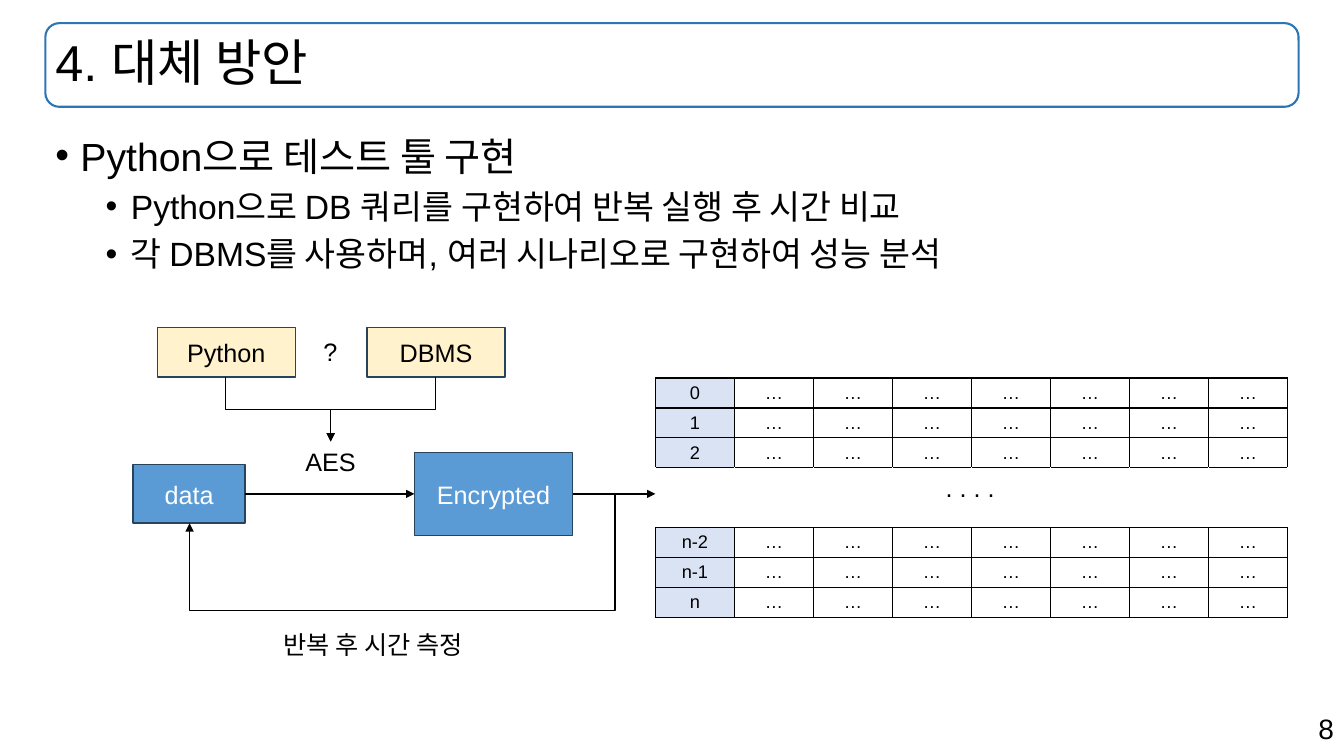
from lxml import etree
from pptx import Presentation
from pptx import util as u
from pptx.dml.color import RGBColor
from pptx.enum import shapes, text
from pptx.oxml.ns import qn

BLACK, WHITE, BLUE, CREAM, NAVY = "000000", "FFFFFF", "5B9BD5", "FFF2CC", "28445D"
LEFT, CENTER, RIGHT = text.PP_ALIGN.LEFT, text.PP_ALIGN.CENTER, text.PP_ALIGN.RIGHT
UNIT = u.Inches(0.1)  # one column or row of the slide grid


def paint(fill, colour):
    fill.solid()
    fill.fore_color.rgb = RGBColor.from_string(colour)


def write(paragraph, words, size, colour=BLACK, align=LEFT):
    paragraph.alignment = align
    run = paragraph.add_run()
    run.text = words
    run.font.size = u.Pt(size)
    run.font.name = "Arial"
    paint(run.font.fill, colour)


prs = Presentation()
prs.slide_width, prs.slide_height = u.Inches(13.33), u.Inches(7.5)
slide = prs.slides.add_slide(prs.slide_layouts[6])
canvas = slide.shapes

# Title frame and title
heading = [round(n * UNIT) for n in (4.5, 2.3, 124.3, 8.3)]
frame = canvas.add_shape(shapes.MSO_SHAPE.ROUNDED_RECTANGLE, *heading)
frame.shadow.inherit = False
frame.fill.background()
paint(frame.line.fill, "2E75B6")
frame.line.width = u.Pt(1.5)
title = canvas.add_textbox(*heading).text_frame
title.word_wrap = True
title.vertical_anchor = text.MSO_ANCHOR.MIDDLE
title.paragraphs[0].line_spacing = 0.9
write(title.paragraphs[0], "4. 대체 방안", 36)

# Bullets
body = canvas.add_textbox(*[round(n * UNIT) for n in (4.5, 12.6, 124.3, 55.3)]).text_frame
body.word_wrap = True
points = [
    (0, "Python으로 테스트 툴 구현", 28),
    (1, "Python으로 DB 쿼리를 구현하여 반복 실행 후 시간 비교", 24),
    (1, "각 DBMS를 사용하며, 여러 시나리오로 구현하여 성능 분석", 24),
]
for i, (level, words, size) in enumerate(points):
    point = body.add_paragraph() if i else body.paragraphs[0]
    point.level = level
    props = point._p.get_or_add_pPr()
    props.set("marL", str(u.Inches(0.25 + 0.5 * level)))
    props.set("indent", str(-u.Inches(0.25)))
    etree.SubElement(props, qn("a:buFont"), typeface="Arial")
    etree.SubElement(props, qn("a:buChar"), char="•")
    if i:
        point.space_before = u.Pt(5)
    write(point, words, size)

# Flow boxes
boxes = {}
for name, area, fill, colour in [
    ("data", (13.2, 46.1, 11.1, 5.8), BLUE, WHITE),
    ("Encrypted", (41.1, 44.9, 15.7, 8.2), BLUE, WHITE),
    ("Python", (15.6, 32.5, 13.7, 4.9), CREAM, BLACK),
    ("DBMS", (36.4, 32.5, 13.7, 4.9), CREAM, BLACK),
]:
    box = canvas.add_shape(shapes.MSO_SHAPE.RECTANGLE, *[round(n * UNIT) for n in area])
    box.shadow.inherit = False
    paint(box.fill, fill)
    paint(box.line.fill, NAVY)
    box.line.width = u.Pt(1)
    box.text_frame.vertical_anchor = text.MSO_ANCHOR.MIDDLE
    write(box.text_frame.paragraphs[0], name, 18, colour, CENTER)
    boxes[name] = box

# Record table: three first rows, a two-row gap, three last rows
indexes = ["0", "1", "2", None, None, "n-2", "n-1", "n"]
records = canvas.add_table(
    len(indexes), 8, *[round(n * UNIT) for n in (65, 37.5, 62.7, 23)]
).table
records.first_row = records.horz_banding = False
for r, index in enumerate(indexes):
    for c in range(8):
        cell = records.cell(r, c)
        cell.margin_left = cell.margin_right = u.Inches(0.07)
        cell.margin_top = cell.margin_bottom = u.Inches(0.04)
        cell.vertical_anchor = text.MSO_ANCHOR.MIDDLE
        gap = index is None
        edges = {
            "lnL": WHITE if gap else BLACK,
            "lnR": WHITE if gap else BLACK,
            "lnT": WHITE if gap and indexes[r - 1] is None else BLACK,
            "lnB": WHITE if gap and indexes[r + 1] is None else BLACK,
        }
        for edge, colour in edges.items():
            border = etree.SubElement(cell._tc.get_or_add_tcPr(), qn("a:" + edge), w=str(u.Pt(1)))
            solid = etree.SubElement(border, qn("a:solidFill"))
            etree.SubElement(solid, qn("a:srgbClr"), val=colour)
        line = cell.text_frame.paragraphs[0]
        if gap:
            cell.fill.background()
            etree.SubElement(line._p, qn("a:endParaRPr"), sz="1300")
        else:
            paint(cell.fill, WHITE if c else "DAE3F3")
            write(line, "…" if c else index, 13, BLACK, CENTER)

# Labels
for words, area, size, align in [
    (". . . .", (92.8, 46.4, 6.9, 4), 18, LEFT),
    ("AES", (29.3, 43.8, 7.1, 4), 18, LEFT),
    ("반복 후 시간 측정", (27.1, 61.9, 21.8, 4), 18, LEFT),
    ("?", (31.1, 32.9, 3.4, 4), 18, LEFT),
    ("8", (94.3, 70.1, 39, 4.4), 20, RIGHT),
]:
    label = canvas.add_textbox(*[round(n * UNIT) for n in area]).text_frame
    label.word_wrap = align == RIGHT
    write(label.paragraphs[0], words, size, BLACK, align)

# Arrows: unrotated ends, quarter turns, preset and bend positions
arrows = []
for ends, turns, preset, bends in [
    ((56.8, 49, 65, 49), 0, "line", []),
    ((24.3, 49, 41.1, 49), 0, "line", []),
    ((18.8, 51.9, 60.9, 49), 2, "bentConnector4", [-0.002, 3.984]),
    ((30.8, 35.4, 24.4, 45.8), 3, "bentConnector3", [0.5]),
    ((34.8, 35.4, 41.2, 45.8), 1, "bentConnector3", [0.5]),
]:
    kind = shapes.MSO_CONNECTOR.ELBOW if bends else shapes.MSO_CONNECTOR.STRAIGHT
    arrow = canvas.add_connector(kind, *[round(n * UNIT) for n in ends])
    paint(arrow.line.fill, BLACK)
    arrow.line.width = u.Pt(1)
    etree.SubElement(arrow.line._get_or_add_ln(), qn("a:tailEnd"), type="triangle")
    props = arrow._element.spPr
    etree.SubElement(props, qn("a:effectLst"))
    if bends:
        props.find(qn("a:xfrm")).set("rot", str(turns * 5400000))
        geometry = props.find(qn("a:prstGeom"))
        geometry.set("prst", preset)
        guides = geometry.find(qn("a:avLst"))
        for i, bend in enumerate(bends, 1):
            guide = f"adj{i}" if len(bends) > 1 else "adj1"
            etree.SubElement(guides, qn("a:gd"), name=guide, fmla=f"val {round(bend * 100000)}")
    arrows.append(arrow)
to_records, to_encrypted = arrows[:2]
to_records.begin_connect(boxes["Encrypted"], 3)
to_encrypted.begin_connect(boxes["data"], 3)
to_encrypted.end_connect(boxes["Encrypted"], 1)

prs.save("out.pptx")
